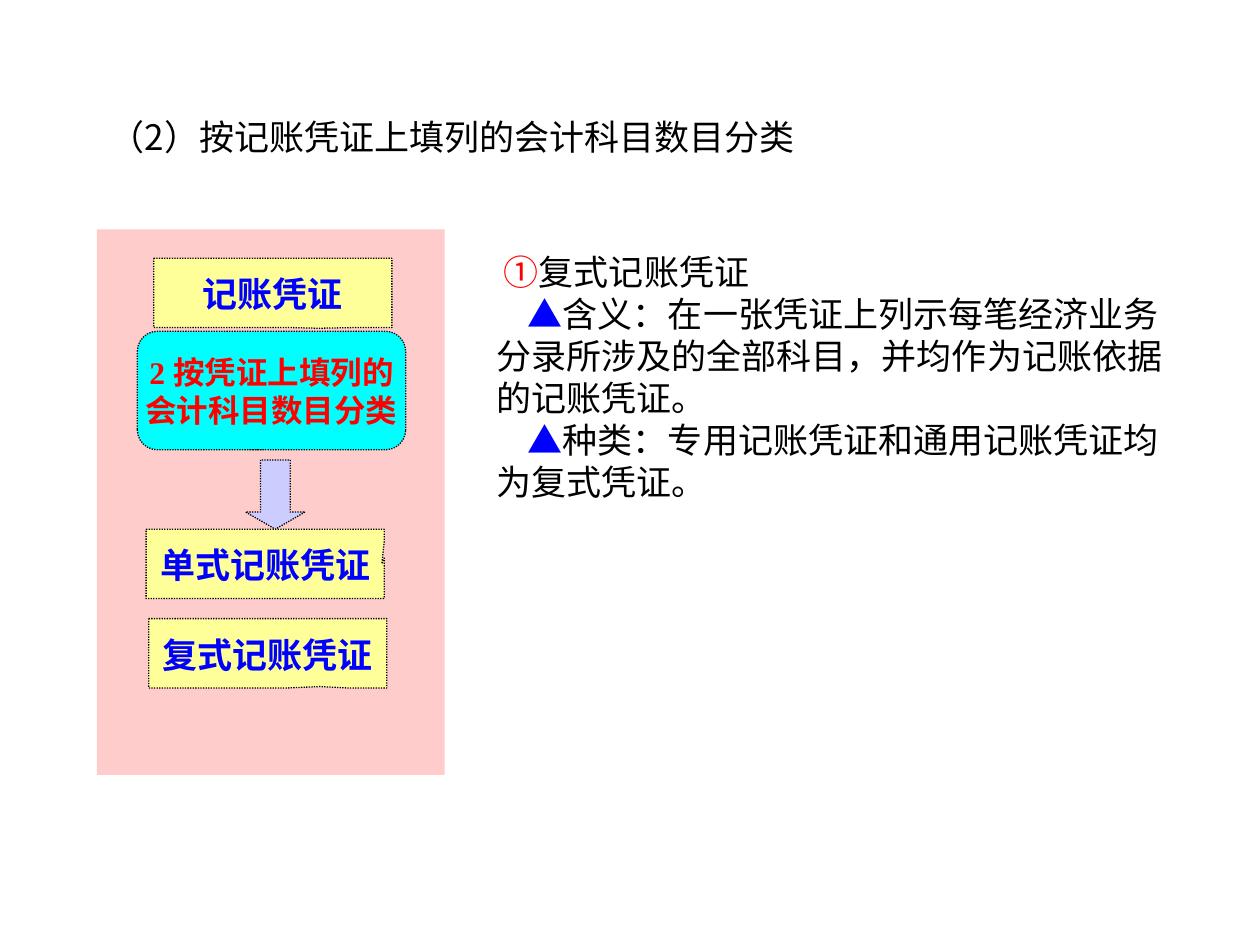
"""Build the slide that sorts accounting vouchers by number of accounts listed."""
from dataclasses import dataclass
from typing import Any

from lxml import etree
from pptx import Presentation
from pptx.dml.color import RGBColor
from pptx.enum.dml import MSO_LINE
from pptx.enum.shapes import MSO_SHAPE
from pptx.enum.text import MSO_ANCHOR, PP_ALIGN
from pptx.oxml.ns import qn
from pptx.util import Inches, Pt

CALLOUT = MSO_SHAPE.RECTANGULAR_CALLOUT
ROUND_CALLOUT = MSO_SHAPE.ROUNDED_RECTANGULAR_CALLOUT
ARROW = MSO_SHAPE.UP_ARROW
DOTTED = MSO_LINE.ROUND_DOT
CENTER, LEFT = PP_ALIGN.CENTER, PP_ALIGN.LEFT
TOP, MIDDLE = MSO_ANCHOR.TOP, MSO_ANCHOR.MIDDLE

COLUMNS, ROWS = 100, 75
WIDTH, HEIGHT = Inches(10), Inches(7.5)
SANS, SERIF = "Noto Sans CJK SC", "Times New Roman"
BLACK, RED, BLUE = "000000", "FF0000", "0000FF"
YELLOW, CYAN, PINK, LILAC = "FFFF99", "00FFFF", "FFCCCC", "CCCCFF"


@dataclass(frozen=True)
class Area:
    """Place on the grid, in columns and rows."""
    column: float
    row: float
    columns: float
    rows: float

    def lengths(self) -> tuple[int, int, int, int]:
        """Return left, top, width and height."""
        across, down = WIDTH / COLUMNS, HEIGHT / ROWS
        return (round(self.column * across), round(self.row * down),
                round(self.columns * across), round(self.rows * down))


@dataclass(frozen=True)
class Words:
    """Run of text in one style."""
    text: str
    color: str = BLACK
    size: int = 20
    bold: bool = False
    font: str = SANS


@dataclass(frozen=True)
class Line:
    """Paragraph with its alignment, spacing and first-line indent in inches."""
    words: tuple[Words, ...]
    alignment: Any = LEFT
    line_spacing: float = 1.0
    indent: float = 0


@dataclass(frozen=True)
class Step:
    """Filled part of the classification panel."""
    kind: Any
    area: Area
    fill: str
    adjustments: tuple[float, ...]
    lines: tuple[Line, ...] = ()
    anchor: Any = TOP
    wrap: bool = True
    outlined: bool = True
    rotation: float = 0


def color(value: str) -> RGBColor:
    """Turn a hex string into a colour."""
    return RGBColor.from_string(value)


def apply(target: Any, values: dict[str, Any]) -> None:
    """Set each format value on the target."""
    for key, value in values.items():
        setattr(target, key, value)


def write(frame: Any, lines: tuple[Line, ...], anchor: Any = TOP, wrap: bool = True) -> None:
    """Fill a text frame with styled lines."""
    apply(frame, {"word_wrap": wrap, "vertical_anchor": anchor})
    for index, line in enumerate(lines):
        paragraph = frame.add_paragraph() if index else frame.paragraphs[0]
        apply(paragraph, {"alignment": line.alignment, "line_spacing": line.line_spacing})
        if line.indent:
            paragraph._p.get_or_add_pPr().set("indent", str(Inches(line.indent)))
        for words in line.words:
            run = paragraph.add_run()
            run.text = words.text
            apply(run.font, {"name": words.font, "size": Pt(words.size), "bold": words.bold})
            run.font.color.rgb = color(words.color)
            if words.font == SANS:
                east_asian = etree.SubElement(run._r.get_or_add_rPr(), qn("a:ea"))
                east_asian.set("typeface", words.font)


def draw_step(slide: Any, step: Step) -> None:
    """Draw one part of the panel."""
    shape = slide.shapes.add_shape(step.kind, *step.area.lengths())
    shape.shadow.inherit = False
    shape.rotation = step.rotation
    for index, value in enumerate(step.adjustments):
        shape.adjustments[index] = value
    shape.fill.solid()
    shape.fill.fore_color.rgb = color(step.fill)
    if step.outlined:
        shape.line.color.rgb = color(BLACK)
        apply(shape.line, {"width": Pt(0.75), "dash_style": DOTTED})
    else:
        shape.line.fill.background()
    write(shape.text_frame, step.lines, step.anchor, step.wrap)


def draw_text(slide: Any, area: Area, lines: tuple[Line, ...]) -> None:
    """Add a text box with styled lines."""
    write(slide.shapes.add_textbox(*area.lengths()).text_frame, lines)


def voucher(name: str, column: float, row: float, tip: tuple[float, float]) -> Step:
    """Describe a yellow voucher box."""
    label = Line((Words(name, BLUE, 20, True, SERIF),), CENTER, 1.2)
    return Step(CALLOUT, Area(column, row, 18.9, 5.5), YELLOW, tip, (label,))


def point(text: str) -> Line:
    """Describe an indented point led by a blue triangle."""
    return Line((Words("▲", BLUE), Words(text)), indent=0.25)


BASIS = tuple(Line((Words(text, RED, 18, True, SERIF),), CENTER)
              for text in ("2 按凭证上填列的", "会计科目数目分类"))
PANEL = (
    Step(CALLOUT, Area(7.7, 18.2, 27.6, 43.3), PINK, (0.38, -0.5), outlined=False),
    voucher("记账凭证", 12.2, 20.5, (0.19, 0.51)),
    Step(ROUND_CALLOUT, Area(10.9, 26.3, 21.3, 9.4), CYAN, (-0.03, 0.5, 0.17),
         BASIS, MIDDLE, False),
    Step(ARROW, Area(19.5, 36.5, 4.7, 5.5), LILAC, (0.5, 0.29), rotation=180),
    voucher("单式记账凭证", 11.6, 42, (0.49, 0)),
    voucher("复式记账凭证", 11.8, 49.1, (0.22, 0.48)),
)
TITLE = (Line((Words(" ", size=32, bold=True),
               Words("(2)按记账凭证上填列的会计科目数目分类".replace("(", "(").replace("(", "\uff08")
                     .replace(")", "\uff09"))), line_spacing=0.9),)
EXPLANATION = (
    Line((Words("①", RED), Words("复式记账凭证")), indent=0.06),
    point("含义：在一张凭证上列示每笔经济业务分录所涉及的全部科目，并均作为记账依据的记账凭证。"),
    point("种类：专用记账凭证和通用记账凭证均为复式凭证。"),
)


def main() -> None:
    """Build and save the slide."""
    deck = Presentation()
    apply(deck, {"slide_width": WIDTH, "slide_height": HEIGHT})
    slide = deck.slides.add_slide(deck.slide_layouts[6])
    draw_text(slide, Area(6.7, 7.6, 86.6, 7.1), TITLE)
    for step in PANEL:
        draw_step(slide, step)
    draw_text(slide, Area(38.4, 19.4, 55.9, 23.2), EXPLANATION)
    deck.save("out.pptx")


main()
